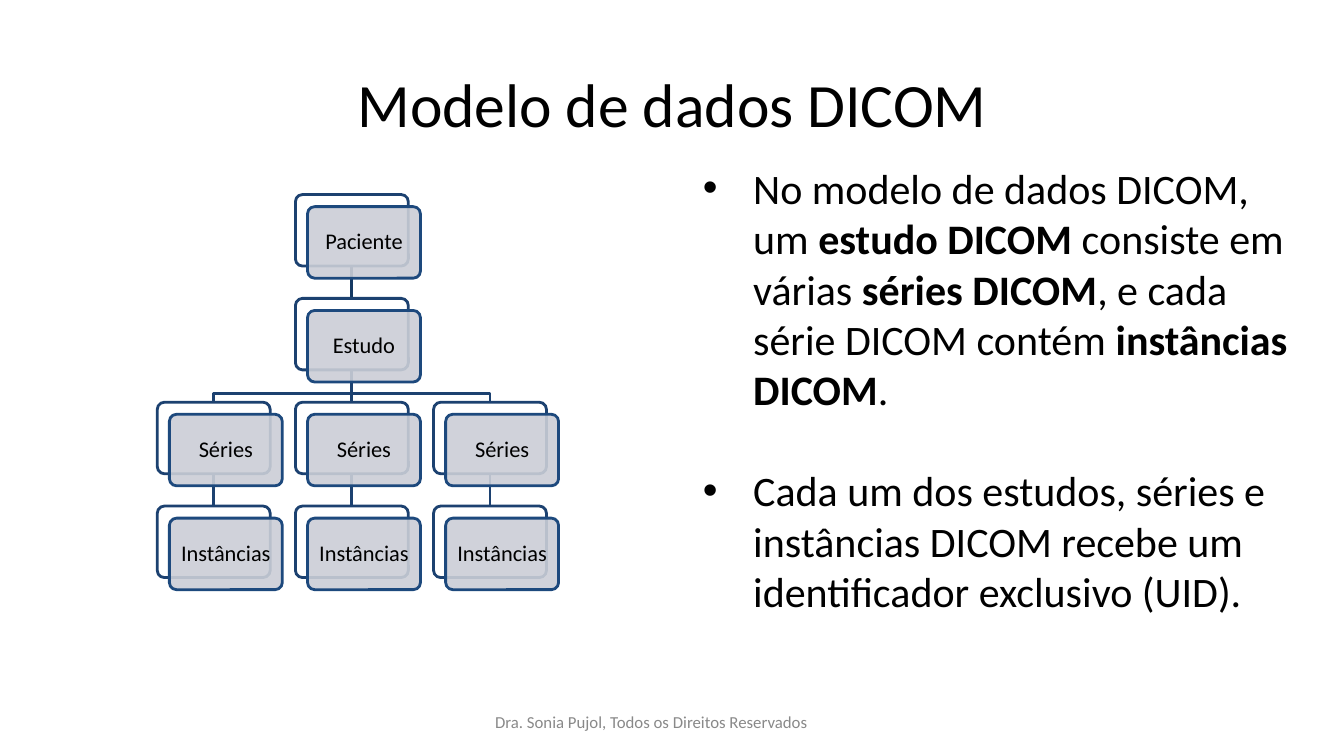
"""Build the slide on the DICOM data model: a card hierarchy beside two bullets."""
from dataclasses import dataclass

from lxml.etree import SubElement
from pptx import Presentation
from pptx.dml.color import RGBColor
from pptx.enum.shapes import MSO_CONNECTOR, MSO_SHAPE
from pptx.enum.text import MSO_ANCHOR, MSO_AUTO_SIZE, PP_ALIGN
from pptx.oxml.ns import qn
from pptx.util import Emu, Pt

TITLE = "Modelo de dados DICOM"
FOOTER = "Dra. Sonia Pujol, Todos os Direitos Reservados"
BULLETS = [
    [
        ("No modelo de dados DICOM, um ", False),
        ("estudo DICOM ", True),
        ("consiste em várias ", False),
        ("séries DICOM", True),
        (", e cada série DICOM contém ", False),
        ("instâncias DICOM", True),
        (".", False),
    ],
    [("Cada um dos estudos, séries e instâncias DICOM recebe um identificador exclusivo (UID).", False)],
]
LEVELS = [
    ("Paciente", [1]),
    ("Estudo", [1]),
    ("Séries", [0, 1, 2]),
    ("Instâncias", [0, 1, 2]),
]


@dataclass(frozen=True)
class Theme:
    font: str = "Calibri"
    text: str = "000000"
    muted: str = "898989"
    back: str = "FFFFFF"
    front: str = "CBCED6"
    back_line: str = "1C4170"
    front_line: str = "1D497D"
    root_line: str = "153963"
    front_alpha: int = 90
    title_size: int = 44
    body_size: int = 30
    card_size: int = 16
    footer_size: int = 12
    paragraph_gap: int = 36
    line_width: int = 2


THEME = Theme()
PX = 9144
SLIDE = (1333, 750)
TITLE_BOX = (113, 60, 1108, 84)
BODY_BOX = (687, 156, 611, 464)
FOOTER_BOX = (491, 706, 352, 23)
BULLET_INDENT = 50
CARD_WIDTH, CARD_HEIGHT = 112, 71
GRID_LEFT, GRID_TOP = 156, 193
COLUMN_STEP, ROW_STEP = 137, 103
CARD_OFFSET = 12
CARD_INSET = 9
BRANCH_DROP = 23


def px(*lengths):
    return [Emu(length * PX) for length in lengths]


def color(code):
    return RGBColor.from_string(code)


def place(shape, box):
    shape.left, shape.top, shape.width, shape.height = px(*box)


def add_span(para, text, size, code=THEME.text, bold=False):
    span = para.add_run()
    span.text = text
    span.font.name = THEME.font
    span.font.size = Pt(size)
    span.font.bold = bold
    span.font.color.rgb = color(code)


def set_line(shape, code):
    shape.line.color.rgb = color(code)
    shape.line.width = Pt(THEME.line_width)


def card_corner(row, column):
    return GRID_LEFT + column * COLUMN_STEP, GRID_TOP + row * ROW_STEP


def add_card(page, left, top, fill, line):
    card = page.shapes.add_shape(
        MSO_SHAPE.ROUNDED_RECTANGLE, *px(left, top, CARD_WIDTH, CARD_HEIGHT))
    card.adjustments[0] = 0.1
    card.shadow.inherit = False
    card.fill.solid()
    card.fill.fore_color.rgb = color(fill)
    set_line(card, line)
    return card


def add_node(page, label, left, top):
    add_card(page, left, top, THEME.back, THEME.back_line)
    card = add_card(page, left + CARD_OFFSET, top + CARD_OFFSET, THEME.front, THEME.front_line)
    tint = card.element.spPr.find(qn("a:solidFill")).find(qn("a:srgbClr"))
    SubElement(tint, qn("a:alpha"), val=str(THEME.front_alpha * 1000))
    frame = card.text_frame
    frame.word_wrap = True
    frame.vertical_anchor = MSO_ANCHOR.MIDDLE
    frame.margin_left, frame.margin_right, frame.margin_top, frame.margin_bottom = px(*[CARD_INSET] * 4)
    para = frame.paragraphs[0]
    para.alignment = PP_ALIGN.CENTER
    para.line_spacing = 0.9
    add_span(para, label, THEME.card_size)


def add_link(page, row, parent, child):
    parent_left, parent_top = card_corner(row - 1, parent)
    child_left, end_y = card_corner(row, child)
    start_x, end_x = parent_left + CARD_WIDTH // 2, child_left + CARD_WIDTH // 2
    start_y = parent_top + CARD_HEIGHT
    if start_x == end_x:
        link = page.shapes.add_connector(
            MSO_CONNECTOR.STRAIGHT, *px(start_x, start_y, end_x, end_y))
    else:
        bend_y = start_y + BRANCH_DROP
        outline = page.shapes.build_freeform(start_x, start_y, scale=PX)
        outline.add_line_segments(
            [(start_x, bend_y), (end_x, bend_y), (end_x, end_y)], close=False)
        link = outline.convert_to_shape()
        link.fill.background()
    set_line(link, THEME.root_line if row == 1 else THEME.back_line)
    SubElement(link.element.spPr, qn("a:effectLst"))


def add_hierarchy(page):
    for row, (_, columns) in enumerate(LEVELS[1:], start=1):
        parents = LEVELS[row - 1][1]
        for column in columns:
            add_link(page, row, column if column in parents else parents[0], column)
    for row, (label, columns) in enumerate(LEVELS):
        for column in columns:
            add_node(page, label, *card_corner(row, column))


def add_title(page):
    title = page.shapes.title
    place(title, TITLE_BOX)
    para = title.text_frame.paragraphs[0]
    para.alignment = PP_ALIGN.CENTER
    add_span(para, TITLE, THEME.title_size)


def add_bullets(page):
    body = page.placeholders[1]
    place(body, BODY_BOX)
    frame = body.text_frame
    frame.auto_size = MSO_AUTO_SIZE.NONE
    for index, spans in enumerate(BULLETS):
        para = frame.add_paragraph() if index else frame.paragraphs[0]
        para.space_before = Pt(THEME.paragraph_gap if index else 0)
        properties = para._p.get_or_add_pPr()
        properties.set("marL", str(BULLET_INDENT * PX))
        properties.set("indent", str(-BULLET_INDENT * PX))
        for text, bold in spans:
            add_span(para, text, THEME.body_size, bold=bold)


def add_footer(page):
    box = page.shapes.add_textbox(*px(*FOOTER_BOX))
    frame = box.text_frame
    frame.word_wrap = True
    frame.margin_left = frame.margin_right = frame.margin_top = frame.margin_bottom = 0
    add_span(frame.paragraphs[0], FOOTER, THEME.footer_size, THEME.muted)


def main():
    deck = Presentation()
    deck.slide_width, deck.slide_height = px(*SLIDE)
    page = deck.slides.add_slide(deck.slide_layouts[1])
    add_title(page)
    add_footer(page)
    add_bullets(page)
    add_hierarchy(page)
    deck.save("out.pptx")


if __name__ == "__main__":
    main()
